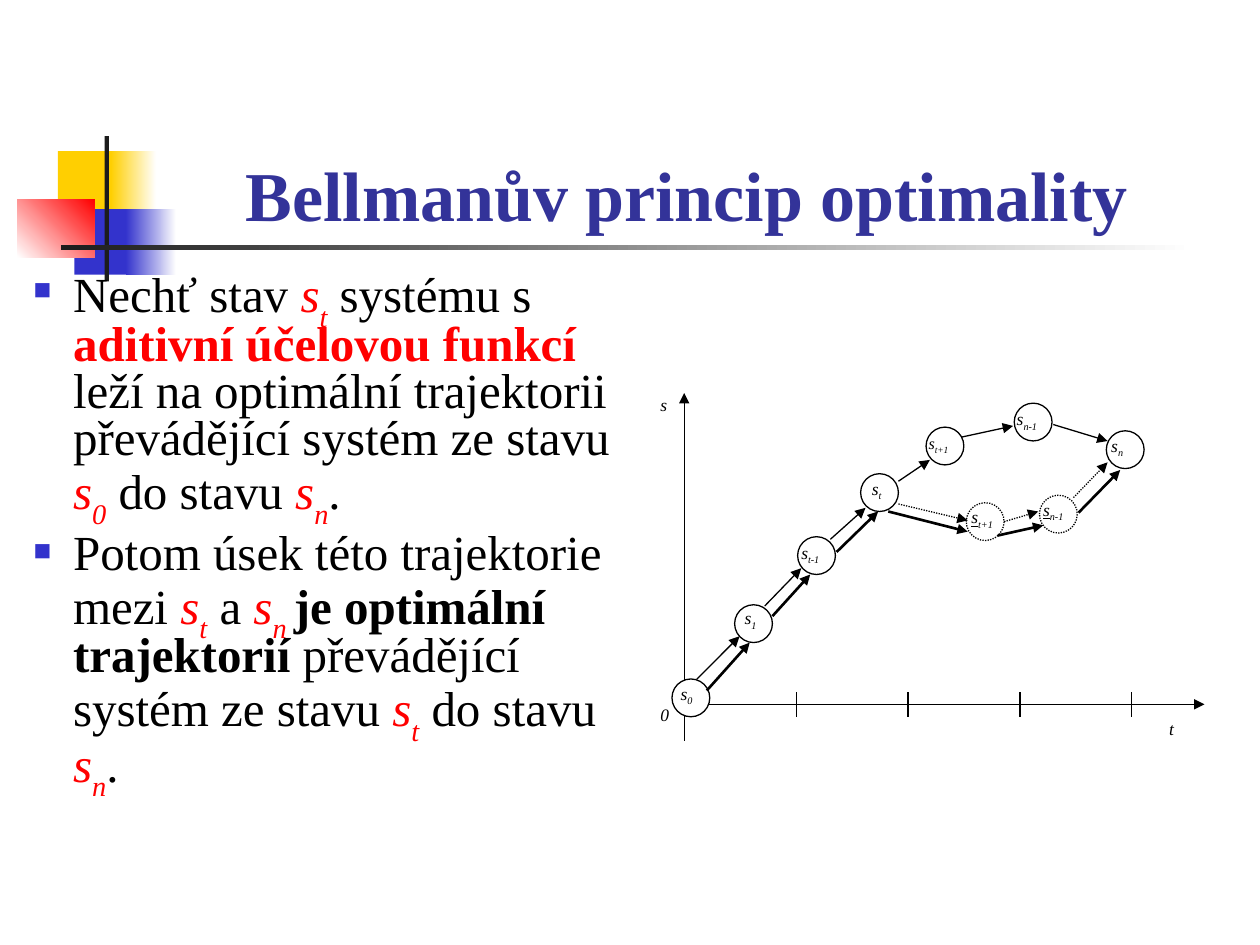
from dataclasses import dataclass

from lxml.etree import SubElement
from pptx import Presentation
from pptx.dml.color import RGBColor
from pptx.enum.dml import MSO_LINE_DASH_STYLE as Dash
from pptx.enum.shapes import MSO_CONNECTOR as Connector, MSO_SHAPE as Shape
from pptx.enum.text import MSO_ANCHOR as Anchor, PP_ALIGN as Align
from pptx.oxml.ns import qn
from pptx.util import Pt


@dataclass(frozen=True)
class Theme:
    font: str = "Times New Roman"
    black: str = "000000"
    white: str = "FFFFFF"
    ink: str = "1C1C1C"
    yellow: str = "FFCF01"
    blue: str = "3333CC"
    red: str = "FF0000"
    heading: str = "333399"
    title_size: float = 40
    body_size: float = 28
    label_size: float = 10
    small_label_size: float = 9.2
    thin: float = 0.75
    thick: float = 1.5


theme = Theme()

TITLE = "Bellmanův princip optimality "

STYLES = {
    "plain": {},
    "bold": {"bold": True},
    "key": {"bold": True, "color": theme.red},
    "symbol": {"italic": True, "color": theme.red},
    "index": {"italic": True, "color": theme.red, "baseline": -30},
}

BODY = [
    [("Nechť stav ", "plain"), ("s", "symbol"), ("t", "index"),
     (" systému s ", "plain"), ("aditivní účelovou funkcí", "key"),
     (" leží na optimální trajektorii převádějící systém ze stavu ", "plain"),
     ("s", "symbol"), ("0", "index"), (" do stavu ", "plain"),
     ("s", "symbol"), ("n", "index"), (".", "plain")],
    [("Potom úsek této trajektorie mezi ", "plain"), ("s", "symbol"), ("t", "index"),
     (" a ", "plain"), ("s", "symbol"), ("n ", "index"),
     ("je optimální trajektorií", "bold"),
     (" převádějící systém ze stavu ", "plain"), ("s", "symbol"), ("t", "index"),
     (" do stavu ", "plain"), ("s", "symbol"), ("n", "index"), (".", "plain")],
]

ORNAMENT = [
    ((33.1, 86.4, 34.6, 37.4), (theme.yellow,), 0),
    ((63.4, 86.4, 25.9, 37.4), (theme.yellow, theme.white), 0),
    ((42.5, 119.5, 33.1, 37.4), (theme.blue,), 0),
    ((72, 119.5, 28.8, 37.4), (theme.blue, theme.white), 0),
    ((10, 113.8, 44, 33.4), (theme.white, theme.red), 45),
    ((59.8, 77.8, 2.4, 83), (theme.ink,), 0),
    ((34.6, 140.2, 648, 2.5), (theme.ink, theme.white), 0),
]

NODE_SIZE = 21.6
SOLID_NODES = [
    ("0", (384, 388), (4.3, 1.5), theme.label_size),
    ("1", (419.8, 345.6), (5, 0.7), theme.label_size),
    ("t-1", (455.8, 306.7), (1.4, 2.2), theme.label_size),
    ("t", (491.8, 270.7), (5.7, 1.5), theme.label_size),
    ("t+1", (529.2, 244.1), (0.7, 2.9), theme.small_label_size),
    ("n-1", (579.6, 230.4), (0.7, 2.2), theme.label_size),
    ("n", (632.2, 246.2), (2.1, 1.5), theme.label_size),
]
DOTTED_NODES = [
    ("t+1", (552.2, 287.3), (2.2, 1.4), theme.label_size),
    ("n-1", (594, 283), (1.4, 1.4), theme.label_size),
]

SOLID_ARROWS = [
    (398.2, 388.1, 422.6, 363.6), (437, 346.3, 457.9, 324.7),
    (474.5, 308.2, 494.6, 290.2), (513.4, 275, 531.4, 262.8),
    (549.4, 249.8, 578.9, 243.4), (601.9, 242.6, 632.9, 252),
]
DOTTED_ARROWS = [
    (513.4, 288, 553, 297.4), (573.8, 298.1, 593.3, 292.3),
    (613.4, 284.4, 632.9, 264.2),
]
THICK_ARROWS = [
    (403.9, 394.6, 428.4, 367.2), (441.4, 352.1, 463, 328.3),
    (478.1, 315.4, 501.8, 292.3), (507.6, 292.3, 553, 303.8),
    (570.2, 306, 596.2, 300.2), (616.3, 293, 640.1, 268.6),
]

AXES = [(391, 423.4, 391, 224.6), (390.2, 402.5, 688.3, 402.5)]
TICK_START, TICK_STEP, TICK_COUNT = 455, 63.9, 4
AXIS_LABELS = [("s", (376.6, 224.6)), ("t", (667.4, 409.7)), ("0", (376.6, 401.8))]


def color(value):
    return RGBColor.from_string(value)


def add_run(paragraph, text, size, color_value=theme.black, bold=False,
            italic=False, underline=False, baseline=0):
    run = paragraph.add_run()
    run.text = text
    font = run.font
    font.name, font.size = theme.font, Pt(size)
    font.bold, font.italic, font.underline = bold, italic, underline
    font.color.rgb = color(color_value)
    if baseline:
        run._r.get_or_add_rPr().set("baseline", str(baseline * 1000))


def add_text_frame(slide, box, margin=None):
    frame = slide.shapes.add_textbox(*map(Pt, box)).text_frame
    frame.word_wrap = True
    if margin is not None:
        frame.margin_left = frame.margin_right = Pt(margin)
        frame.margin_top = frame.margin_bottom = Pt(margin)
    return frame


def add_label(slide, position, text, index="", size=theme.label_size, underline=False):
    paragraph = add_text_frame(slide, (*position, 25, 18), 0.72).paragraphs[0]
    add_run(paragraph, text, size, italic=True, underline=underline)
    if index:
        add_run(paragraph, index, size, italic=True, baseline=-25)


def add_bullet(paragraph):
    properties = paragraph._p.get_or_add_pPr()
    properties.set("marL", str(Pt(22.5)))
    properties.set("indent", str(-Pt(22.5)))
    bullet_color = SubElement(properties, qn("a:buClr"))
    SubElement(bullet_color, qn("a:srgbClr"), val=theme.blue)
    SubElement(properties, qn("a:buSzPct"), val="60000")
    SubElement(properties, qn("a:buFont"), typeface=theme.font)
    SubElement(properties, qn("a:buChar"), char="■")


def add_line(slide, ends, width=theme.thin, dotted=False, arrow=True):
    connector = slide.shapes.add_connector(Connector.STRAIGHT, *map(Pt, ends))
    line = connector.line
    line.color.rgb = color(theme.black)
    line.width = Pt(width)
    if dotted:
        line.dash_style = Dash.ROUND_DOT
    if arrow:
        SubElement(line._get_or_add_ln(), qn("a:tailEnd"), type="triangle")
    SubElement(connector._element.spPr, qn("a:effectLst"))


def add_ornament(slide):
    for box, colors, angle in ORNAMENT:
        shape = slide.shapes.add_shape(Shape.RECTANGLE, *map(Pt, box))
        shape.shadow.inherit = False
        shape.line.fill.background()
        if len(colors) == 1:
            shape.fill.solid()
            shape.fill.fore_color.rgb = color(colors[0])
        else:
            shape.fill.gradient()
            shape.fill.gradient_angle = angle
            for stop, value in zip(shape.fill.gradient_stops, colors):
                stop.color.rgb = color(value)


def add_nodes(slide, nodes, dotted):
    for index, (left, top), (shift_x, shift_y), size in nodes:
        node = slide.shapes.add_shape(Shape.OVAL, Pt(left), Pt(top), Pt(NODE_SIZE), Pt(NODE_SIZE))
        node.shadow.inherit = False
        if index == "0":
            node.fill.solid()
            node.fill.fore_color.rgb = color(theme.white)
        else:
            node.fill.background()
        node.line.color.rgb = color(theme.black)
        node.line.width = Pt(theme.thin)
        if dotted:
            node.line.dash_style = Dash.ROUND_DOT
        add_label(slide, (left + shift_x, top + shift_y), "s", index, size, dotted)


def add_texts(slide):
    body = add_text_frame(slide, (12.2, 149.8, 347.8, 342))
    for number, runs in enumerate(BODY):
        paragraph = body.add_paragraph() if number else body.paragraphs[0]
        paragraph.line_spacing = 0.8
        paragraph.space_before = Pt(7 if number else 0)
        add_bullet(paragraph)
        for text, style in runs:
            options = dict(STYLES[style])
            add_run(paragraph, text, theme.body_size, options.pop("color", theme.black), **options)

    title = add_text_frame(slide, (90.7, 48.2, 613.4, 90))
    title.vertical_anchor = Anchor.BOTTOM
    title.paragraphs[0].alignment = Align.CENTER
    add_run(title.paragraphs[0], TITLE, theme.title_size, theme.heading, bold=True)


def add_diagram(slide):
    for axis in AXES:
        add_line(slide, axis)
    for number in range(TICK_COUNT):
        x = TICK_START + number * TICK_STEP
        add_line(slide, (x, 409.7, x, 395.3), arrow=False)
    for text, position in AXIS_LABELS:
        add_label(slide, position, text)
    add_nodes(slide, SOLID_NODES, False)
    add_nodes(slide, DOTTED_NODES, True)
    for arrows, width, dotted in ((SOLID_ARROWS, theme.thin, False),
                                  (DOTTED_ARROWS, theme.thin, True),
                                  (THICK_ARROWS, theme.thick, False)):
        for ends in arrows:
            add_line(slide, ends, width, dotted)


def main():
    presentation = Presentation()
    presentation.slide_width, presentation.slide_height = Pt(720), Pt(540)
    slide = presentation.slides.add_slide(presentation.slide_layouts[6])
    add_ornament(slide)
    add_texts(slide)
    add_diagram(slide)
    presentation.save("out.pptx")


if __name__ == "__main__":
    main()
